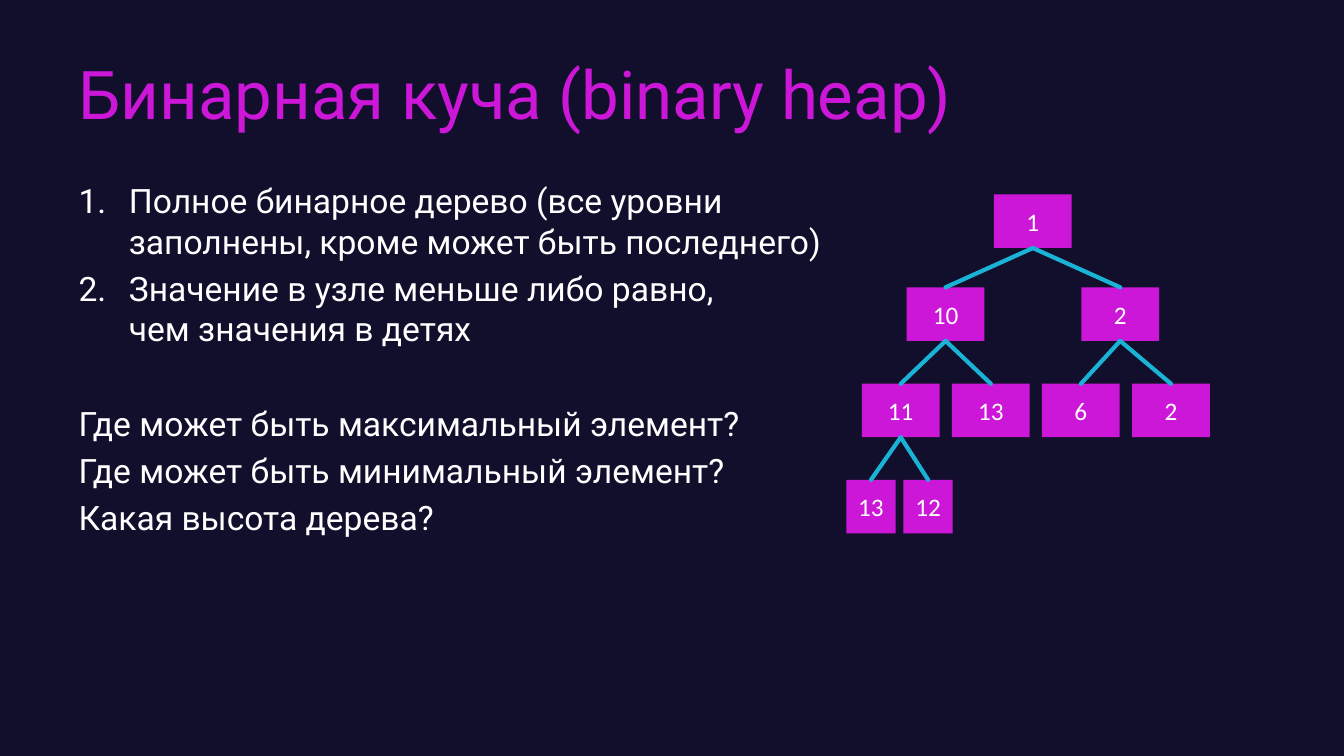
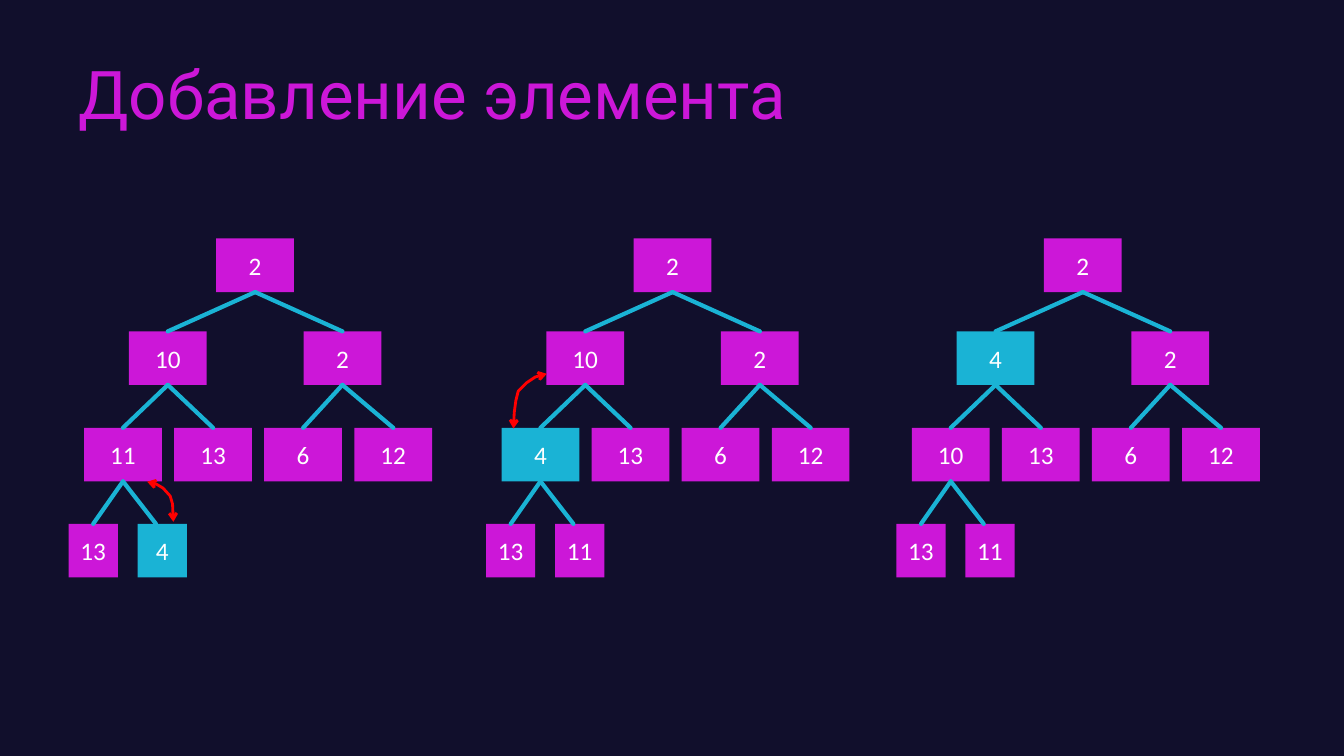
from dataclasses import dataclass
from typing import Any, Optional

from lxml.etree import SubElement
from pptx import Presentation
from pptx.dml.color import RGBColor
from pptx.enum.shapes import MSO_CONNECTOR, MSO_SHAPE
from pptx.enum.text import MSO_ANCHOR, PP_ALIGN
from pptx.oxml.ns import qn
from pptx.util import Cm, Pt

NIGHT = RGBColor(0x11, 0x0F, 0x2C)
MAGENTA = RGBColor(0xCC, 0x17, 0xD8)
CYAN = RGBColor(0x1A, 0xB3, 0xD5)
RED = RGBColor(0xFF, 0x00, 0x00)
WHITE = RGBColor(0xFF, 0xFF, 0xFF)

TITLE_FORMAT = {"name": "Roboto", "size": Pt(48)}
BODY_FORMAT = {"name": "Roboto", "size": Pt(24)}
NODE_FORMAT = {"name": "Calibri", "size": Pt(18)}

# Tree geometry in centimetres, measured from the middle top of the root
NODE_HEIGHT = 1.35
LEVEL_TOPS = (0, 2.34, 4.77, 7.19)
LEVEL_WIDTHS = (1.96, 1.96, 1.96, 1.24)
NODE_CENTRES = (0, -2.2, 2.2, *(-3.33 + 2.27 * place for place in range(4)), -4.08)

Points = tuple[tuple[float, float], ...]


@dataclass(frozen=True)
class Heap:
    """A binary heap whose values stand in array order."""
    centre: float
    top: float
    values: tuple[int, ...]
    added: Optional[int] = None
    last_centre: float = -2.34
    last_edge: float = -2.5


@dataclass(frozen=True)
class Item:
    text: str
    numbered: bool = False
    space_before: float = 5


ITEMS = (
    Item("Полное бинарное дерево (все уровни заполнены, кроме может быть последнего)", True),
    Item("Значение в узле меньше либо равно,\vчем значения в детях", True),
    Item("Где может быть максимальный элемент?", space_before=38.5),
    Item("Где может быть минимальный элемент?"),
    Item("Какая высота дерева?"),
)
SAMPLE_HEAP = Heap(26.03, 4.9, (1, 10, 2, 11, 13, 6, 2, 13, 12),
                   last_centre=-2.64, last_edge=-2.64)
INSERTION_STEPS = (
    Heap(6.43, 6.01, (2, 10, 2, 11, 13, 6, 12, 13, 4), added=8),
    Heap(16.95, 6.01, (2, 10, 2, 4, 13, 6, 12, 13, 11), added=3),
    Heap(27.29, 6.01, (2, 4, 2, 10, 13, 6, 12, 13, 11), added=1),
)
SWAP_ARROWS: tuple[Points, ...] = (
    ((3.71, 12.14), (3.94, 12.2), (4.11, 12.3), (4.29, 12.5), (4.35, 12.7), (4.37, 13.15)),
    ((13.78, 9.42), (13.49, 9.5), (13.28, 9.64), (13.06, 9.86), (13, 10.1),
     (12.96, 10.4), (12.94, 10.8)),
)


def format_text(para: Any, values: dict[str, Any], color: RGBColor) -> None:
    for span in para.runs:
        for name, value in values.items():
            setattr(span.font, name, value)
        span.font.color.rgb = color


def add_text_box(slide: Any, top: float, width: float, height: float) -> Any:
    frame = slide.shapes.add_textbox(Cm(1.73), Cm(top), Cm(width), Cm(height)).text_frame
    frame.word_wrap = True
    return frame


def add_title_slide(deck: Any, title: str) -> Any:
    slide = deck.slides.add_slide(deck.slide_layouts[6])
    frame = add_text_box(slide, 0.76, 30.5, 3.15)
    frame.vertical_anchor = MSO_ANCHOR.MIDDLE
    para = frame.paragraphs[0]
    para.text = title
    format_text(para, TITLE_FORMAT, MAGENTA)
    return slide


def add_items(slide: Any, items: tuple[Item, ...]) -> None:
    frame = add_text_box(slide, 4.42, 20.27, 12.6)
    for index, item in enumerate(items):
        para = frame.add_paragraph() if index else frame.paragraphs[0]
        para.text = item.text
        para.space_before = Pt(item.space_before)
        format_text(para, BODY_FORMAT, WHITE)
        if item.numbered:
            properties = para._p.get_or_add_pPr()
            properties.set("marL", str(Cm(1.27)))
            properties.set("indent", str(-Cm(1.27)))
            SubElement(properties, qn("a:buFont"), typeface="+mj-lt")
            SubElement(properties, qn("a:buAutoNum"), type="arabicPeriod")


def add_node(slide: Any, value: int, centre: float, top: float, width: float,
             color: RGBColor) -> None:
    node = slide.shapes.add_shape(MSO_SHAPE.RECTANGLE, Cm(centre - width / 2), Cm(top),
                                  Cm(width), Cm(NODE_HEIGHT))
    node.shadow.inherit = False
    node.fill.solid()
    node.fill.fore_color.rgb = color
    node.line.fill.background()
    frame = node.text_frame
    frame.margin_left = frame.margin_right = 0
    frame.vertical_anchor = MSO_ANCHOR.MIDDLE
    para = frame.paragraphs[0]
    para.text = str(value)
    para.alignment = PP_ALIGN.CENTER
    format_text(para, NODE_FORMAT, WHITE)


def add_edge(slide: Any, start: tuple[float, float], end: tuple[float, float]) -> None:
    edge = slide.shapes.add_connector(MSO_CONNECTOR.STRAIGHT,
                                      *(Cm(value) for value in (*start, *end)))
    edge.line.color.rgb = CYAN
    edge.line.width = Pt(3)
    edge.line._get_or_add_ln().set("cap", "rnd")
    SubElement(edge._element.spPr, qn("a:effectLst"))


def add_heap(slide: Any, heap: Heap) -> None:
    centres = (*NODE_CENTRES, heap.last_centre)
    ends = (*NODE_CENTRES, heap.last_edge)
    for index, value in enumerate(heap.values):
        level = (index + 1).bit_length() - 1
        top = heap.top + LEVEL_TOPS[level]
        color = CYAN if index == heap.added else MAGENTA
        add_node(slide, value, heap.centre + centres[index], top, LEVEL_WIDTHS[level], color)
        if index:
            parent = heap.centre + centres[(index - 1) // 2]
            parent_bottom = heap.top + LEVEL_TOPS[level - 1] + NODE_HEIGHT
            add_edge(slide, (parent, parent_bottom), (heap.centre + ends[index], top))


def add_swap_arrow(slide: Any, points: Points) -> None:
    start, *rest = [(Cm(x), Cm(y)) for x, y in points]
    builder = slide.shapes.build_freeform(*start)
    builder.add_line_segments(rest, close=False)
    arrow = builder.convert_to_shape()
    arrow.shadow.inherit = False
    arrow.fill.background()
    arrow.line.color.rgb = RED
    arrow.line.width = Pt(2)
    line = arrow.line._get_or_add_ln()
    SubElement(line, qn("a:round"))
    for end in ("a:headEnd", "a:tailEnd"):
        SubElement(line, qn(end), type="arrow")


def main() -> None:
    deck = Presentation()
    deck.slide_width, deck.slide_height = Cm(33.87), Cm(19.05)
    backdrop = deck.slide_master.background.fill
    backdrop.solid()
    backdrop.fore_color.rgb = NIGHT

    # Heap properties
    slide = add_title_slide(deck, "Бинарная куча (binary heap)")
    add_items(slide, ITEMS)
    add_heap(slide, SAMPLE_HEAP)

    # Insertion, step by step
    slide = add_title_slide(deck, "Добавление элемента")
    for heap in INSERTION_STEPS:
        add_heap(slide, heap)
    for points in SWAP_ARROWS:
        add_swap_arrow(slide, points)

    deck.save("out.pptx")


if __name__ == "__main__":
    main()
